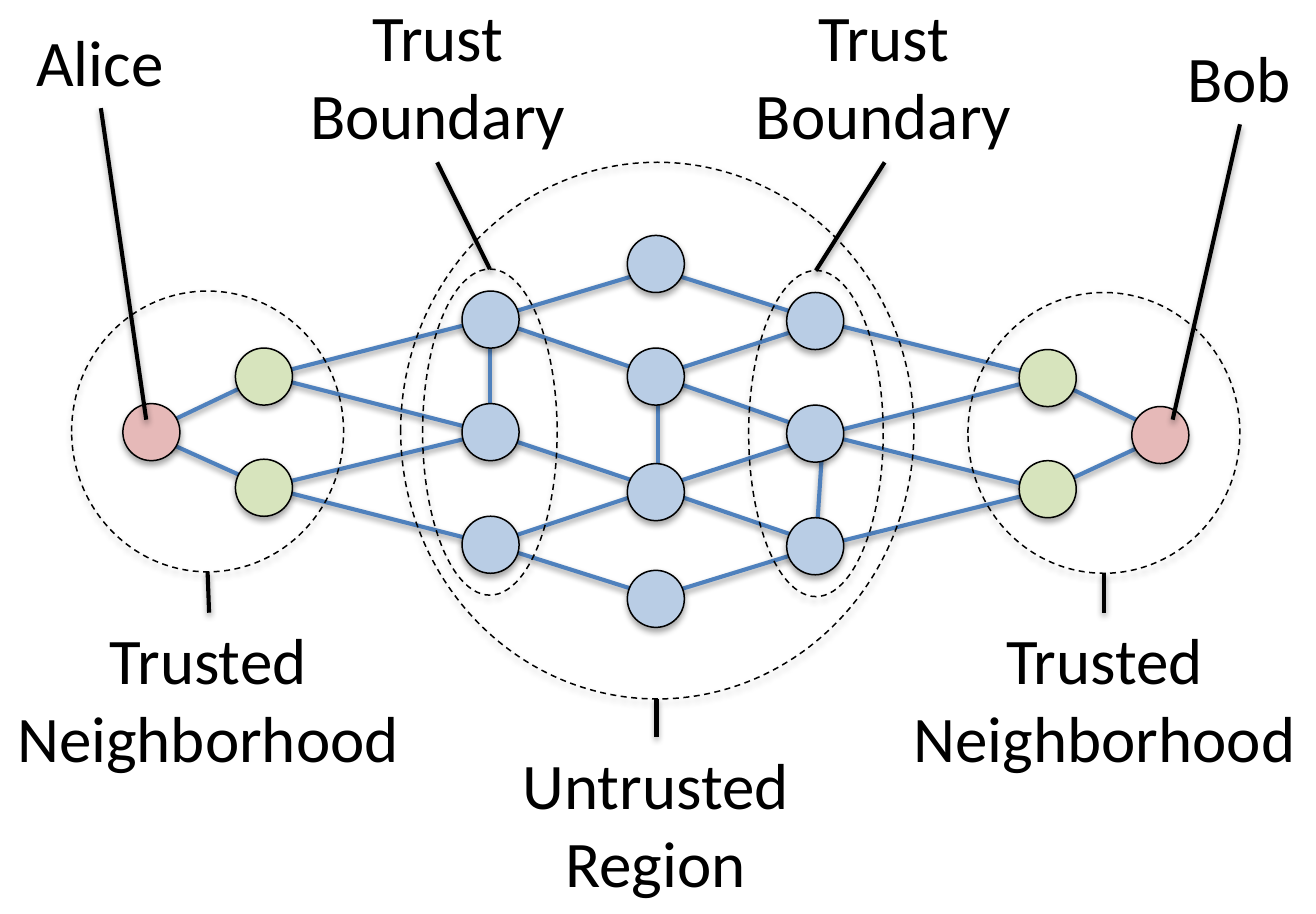
from pptx import Presentation
from pptx.dml.color import RGBColor
from pptx.enum.dml import MSO_LINE
from pptx.enum.shapes import MSO_CONNECTOR, MSO_SHAPE
from pptx.enum.text import MSO_AUTO_SIZE, PP_ALIGN
from pptx.util import Inches, Pt

BLACK = RGBColor(0x00, 0x00, 0x00)
BLUE = RGBColor(0x4F, 0x81, 0xBD)
PINK = RGBColor(0xE6, 0xB9, 0xB8)
GREEN = RGBColor(0xD7, 0xE4, 0xBD)
PALE_BLUE = RGBColor(0xB9, 0xCD, 0xE5)
NODE_SIZE = 0.39

presentation = Presentation()
presentation.slide_width = Inches(9)
presentation.slide_height = Inches(6.25)
slide = presentation.slides.add_slide(presentation.slide_layouts[6])


def add_line(start, end, color):
    # The theme's soft shadow is wanted on lines and circles
    line = slide.shapes.add_connector(
        MSO_CONNECTOR.STRAIGHT, *[Inches(value) for value in (*start, *end)])
    line.line.color.rgb = color
    line.line.width = Pt(2)


def add_ellipse(left, top, width, height, fill=None):
    ellipse = slide.shapes.add_shape(
        MSO_SHAPE.OVAL, Inches(left), Inches(top), Inches(width), Inches(height))
    ellipse.line.color.rgb = BLACK
    ellipse.line.width = Pt(0.75)
    if fill is None:
        ellipse.fill.background()
        ellipse.line.dash_style = MSO_LINE.DASH
    else:
        ellipse.fill.solid()
        ellipse.fill.fore_color.rgb = fill


# Columns of nodes: left, tops, fill, and the points where links attach
columns = {
    "alice": (0.84, [2.76], PINK, 1.0, [2.96]),
    "left friend": (1.61, [2.38, 3.14], GREEN, 1.82, [2.57, 3.33]),
    "left edge": (3.16, [1.99, 2.76, 3.53], PALE_BLUE, 3.35, [2.18, 2.96, 3.72]),
    "middle": (4.29, [1.61, 2.38, 3.17, 3.9], PALE_BLUE, 4.49, [1.84, 2.57, 3.34, 4.08]),
    "right edge": (5.38, [2.0, 2.77, 3.54], PALE_BLUE, 5.63, [2.2, 2.97, 3.73]),
    "right friend": (6.97, [2.39, 3.15], GREEN, 7.16, [2.58, 3.35]),
    "bob": (7.74, [2.78], PINK, 7.98, [2.97]),
}

# Links between neighbouring columns, as pairs of row numbers
links = [
    ("alice", "left friend", [(0, 0), (0, 1)]),
    ("left friend", "left edge", [(0, 0), (0, 1), (1, 1), (1, 2)]),
    ("left edge", "middle", [(0, 0), (0, 1), (1, 2), (2, 2), (2, 3)]),
    ("right edge", "middle", [(0, 0), (0, 1), (1, 1), (1, 2), (2, 2), (2, 3)]),
    ("right friend", "right edge", [(0, 0), (0, 1), (1, 1), (1, 2)]),
    ("bob", "right friend", [(0, 0), (0, 1)]),
]
for source, target, pairs in links:
    source_x, source_rows = columns[source][3:]
    target_x, target_rows = columns[target][3:]
    for source_row, target_row in pairs:
        add_line((source_x, source_rows[source_row]),
                 (target_x, target_rows[target_row]), BLUE)

# Links inside a column
for start, end in [((3.35, 2.96), (3.35, 2.18)),
                   ((4.5, 2.57), (4.5, 3.35)),
                   ((5.63, 2.97), (5.58, 3.73))]:
    add_line(start, end, BLUE)

# Nodes
for left, tops, fill, _, _ in columns.values():
    for top in tops:
        add_ellipse(left, top, NODE_SIZE, NODE_SIZE, fill)

# Dashed regions: neighborhoods, trust boundaries, untrusted region
for region in [(0.49, 1.99, 1.86, 1.92), (6.62, 2.0, 1.86, 1.92),
               (2.89, 1.84, 0.92, 2.23), (5.12, 1.85, 0.92, 2.23),
               (2.74, 1.11, 3.51, 3.67)]:
    add_ellipse(*region)

# Labels, each with the line that points to its part
labels = [
    (["Alice"], (0.15, 0.1, 1.08, 0.64), (0.69, 0.74), (1.0, 2.87)),
    (["Bob"], (8.02, 0.21, 0.92, 0.64), (8.48, 0.85), (8.02, 2.87)),
    (["Trust", "Boundary"], (2.0, -0.07, 1.99, 1.18), (2.99, 1.11), (3.35, 1.84)),
    (["Trust", "Boundary"], (5.05, -0.07, 1.99, 1.18), (6.05, 1.11), (5.58, 1.85)),
    (["Trusted", "Neighborhood"], (-0.09, 4.19, 3.03, 1.18), (1.43, 4.19), (1.42, 3.91)),
    (["Trusted", "Neighborhood"], (6.04, 4.19, 3.03, 1.18), (7.55, 4.19), (7.55, 3.92)),
    (["Untrusted", "Region"], (3.46, 5.04, 2.05, 1.18), (4.49, 5.04), (4.49, 4.78)),
]
for lines, box, start, end in labels:
    text_frame = slide.shapes.add_textbox(*[Inches(value) for value in box]).text_frame
    text_frame.text = "\n".join(lines)
    text_frame.word_wrap = len(lines) > 1
    text_frame.auto_size = MSO_AUTO_SIZE.SHAPE_TO_FIT_TEXT
    for paragraph in text_frame.paragraphs:
        paragraph.alignment = PP_ALIGN.CENTER if len(lines) > 1 else PP_ALIGN.LEFT
        paragraph.font.name = "Calibri"
        paragraph.font.size = Pt(32)
        paragraph.font.color.rgb = BLACK
    add_line(start, end, BLACK)

presentation.save("out.pptx")
